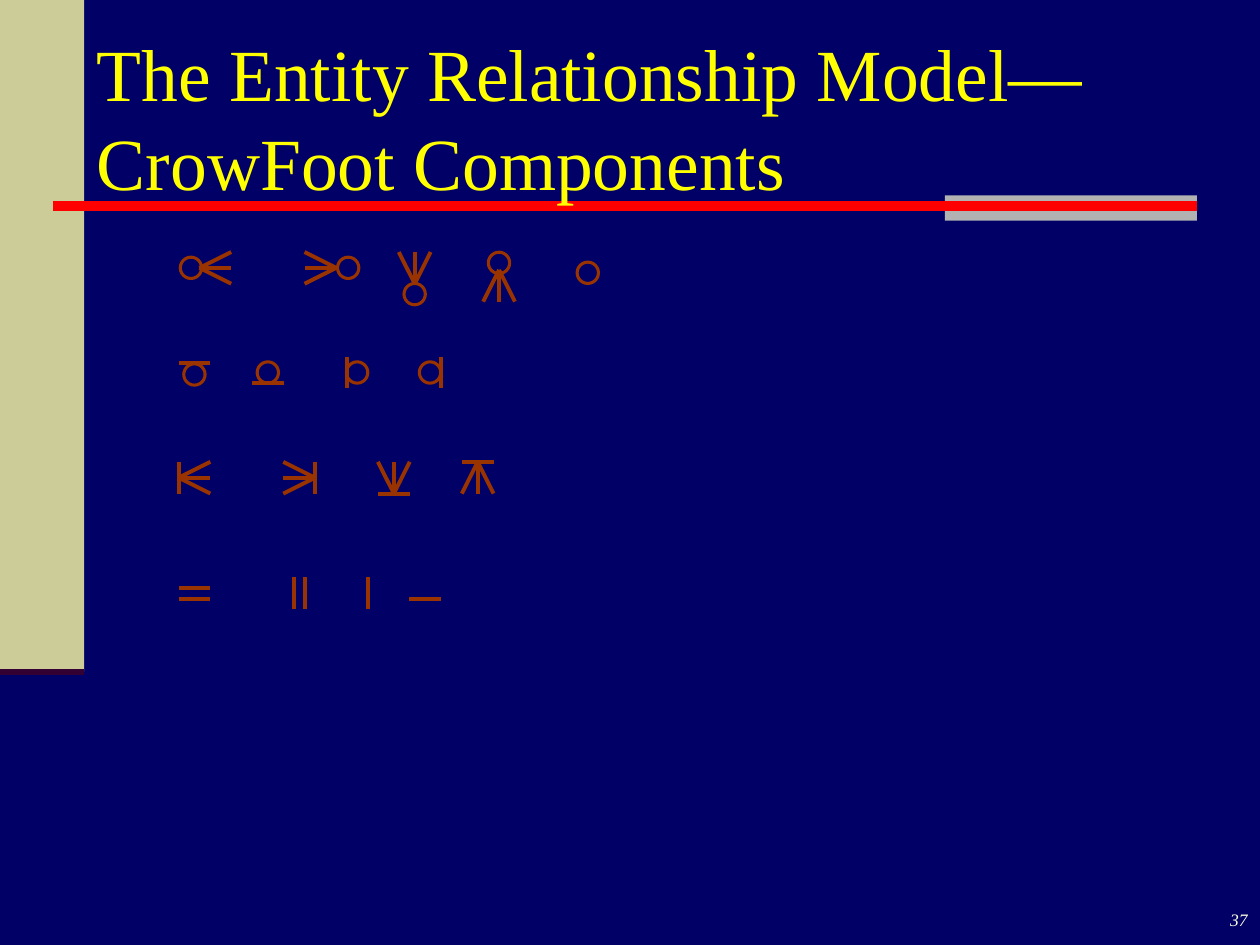
import pptx
import pptx.util
import pptx.dml.color
import pptx.enum.shapes
import pptx.enum.text
import pptx.oxml.ns
from lxml import etree

Cm = pptx.util.Cm
Pt = pptx.util.Pt
RGBColor = pptx.dml.color.RGBColor
SHAPE = pptx.enum.shapes.MSO_SHAPE
ALIGN = pptx.enum.text.PP_ALIGN
ANCHOR = pptx.enum.text.MSO_ANCHOR

NAVY = RGBColor(0x00, 0x00, 0x66)
KHAKI = RGBColor(0xCC, 0xCC, 0x99)
GRAY = RGBColor(0xB2, 0xB2, 0xB2)
RED = RGBColor(0xFF, 0x00, 0x00)
PLUM = RGBColor(0x33, 0x00, 0x33)
YELLOW = RGBColor(0xFF, 0xFF, 0x00)
RUST = RGBColor(0x99, 0x33, 0x00)
IVORY = RGBColor(0xFF, 0xFF, 0xE1)

FONT = "Times New Roman"
MARK = 0.64
RING = 0.43
RIGHT, LEFT, UP, DOWN = (1, 0), (-1, 0), (0, -1), (0, 1)

ROWS = [
    (3.6, 5.08, [
        [("ring", 0.25, 0.32), ("foot", 0.42, 0.32, RIGHT)],
        [("ring", 3.42, 0.32), ("foot", 3.18, 0.32, LEFT)],
        [("ring", 4.76, 0.85), ("foot", 4.76, 0.64, UP)],
        [("foot", 6.46, 0.36, DOWN), ("ring", 6.46, 0.22)],
        [("ring", 8.25, 0.42)],
    ]),
    (3.6, 7.19, [
        [("bar", 0.32, 0.13, RIGHT), ("ring", 0.32, 0.36)],
        [("bar", 1.8, 0.53, RIGHT), ("ring", 1.8, 0.32)],
        [("bar", 3.39, 0.32, DOWN), ("ring", 3.6, 0.32)],
        [("bar", 5.29, 0.32, DOWN), ("ring", 5.07, 0.32)],
    ]),
    (3.6, 9.31, [
        [("foot", 0, 0.32, RIGHT), ("bar", 0, 0.32, DOWN)],
        [("foot", 2.75, 0.32, LEFT), ("bar", 2.75, 0.32, DOWN)],
        [("foot", 4.34, 0.64, UP), ("bar", 4.34, 0.64, RIGHT)],
        [("foot", 6.03, 0, DOWN), ("bar", 6.03, 0, RIGHT)],
    ]),
    (3.6, 11.64, [
        [("bar", 0.32, 0.21, RIGHT), ("bar", 0.32, 0.43, RIGHT)],
        [("bar", 2.33, 0.32, DOWN), ("bar", 2.54, 0.32, DOWN)],
        [("bar", 3.81, 0.32, DOWN)],
        [("bar", 4.97, 0.43, RIGHT)],
    ]),
]


def add_line(shapes, start, end, color=RUST, width=2.25):
    connector = shapes.add_connector(
        pptx.enum.shapes.MSO_CONNECTOR.STRAIGHT,
        *(Cm(value) for value in (*start, *end)))
    connector.line.color.rgb = color
    connector.line.width = Pt(width)
    properties = connector.element.find(pptx.oxml.ns.qn("p:spPr"))
    etree.SubElement(properties, pptx.oxml.ns.qn("a:effectLst"))


def add_block(shapes, left, top, width, height, color):
    shape = shapes.add_shape(SHAPE.RECTANGLE, Cm(left), Cm(top), Cm(width), Cm(height))
    shape.shadow.inherit = False
    shape.fill.solid()
    shape.fill.fore_color.rgb = color
    shape.line.fill.background()


def add_ring(shapes, x, y):
    shape = shapes.add_shape(
        SHAPE.OVAL, Cm(x - RING / 2), Cm(y - RING / 2), Cm(RING), Cm(RING))
    shape.shadow.inherit = False
    shape.fill.background()
    shape.line.color.rgb = RUST
    shape.line.width = Pt(1.75)


def add_bar(shapes, x, y, direction):
    dx, dy = (MARK / 2 * part for part in direction)
    add_line(shapes, (x - dx, y - dy), (x + dx, y + dy))


def add_foot(shapes, x, y, direction):
    dx, dy = (MARK * part for part in direction)
    for spread in (0, -0.5, 0.5):
        add_line(shapes, (x, y), (x + dx - spread * dy, y + dy + spread * dx))


DRAWERS = {"ring": add_ring, "bar": add_bar, "foot": add_foot}


def add_symbol_row(slide, left, top, symbols):
    for parts in symbols:
        shapes = slide.shapes.add_group_shape().shapes if len(parts) > 1 else slide.shapes
        for kind, x, y, *direction in parts:
            DRAWERS[kind](shapes, left + x, top + y, *direction)


def add_decoration(slide, left, top):
    shapes = slide.shapes
    add_block(shapes, left, top, 1.7, 13.54, KHAKI)
    add_block(shapes, left + 19.05, top + 3.94, 5.08, 0.51, GRAY)
    add_line(shapes, (left + 1.06, top + 4.15), (left + 24.13, top + 4.15), RED, 6)
    add_line(shapes, (left, top + 13.54), (left + 1.7, top + 13.54), PLUM, 3.5)


def write_text(shape, text, size, color, align, anchor, italic=False):
    frame = shape.text_frame
    frame.word_wrap = True
    frame.auto_size = pptx.enum.text.MSO_AUTO_SIZE.NONE
    frame.vertical_anchor = anchor
    frame.text = text
    paragraph = frame.paragraphs[0]
    paragraph.alignment = align
    for run in paragraph.runs:
        run.font.name = FONT
        run.font.size = Pt(size)
        run.font.italic = italic
        run.font.color.rgb = color


def place_title(slide, left, top, width, height):
    title = slide.shapes.title
    title.left, title.top, title.width, title.height = (
        Cm(value) for value in (left, top, width, height))
    write_text(title, "The Entity Relationship Model—\vCrowFoot Components",
               size=42, color=YELLOW, align=ALIGN.LEFT, anchor=ANCHOR.MIDDLE)
    slide.shapes.element.append(title.element)


def add_page_number(slide, left, top, width, height):
    box = slide.shapes.add_textbox(Cm(left), Cm(top), Cm(width), Cm(height))
    write_text(box, "37", size=10, color=IVORY, align=ALIGN.RIGHT,
               anchor=ANCHOR.TOP, italic=True)


def main():
    presentation = pptx.Presentation()
    presentation.slide_width = Cm(25.4)
    presentation.slide_height = Cm(19.05)
    slide = presentation.slides.add_slide(presentation.slide_layouts[5])
    slide.background.fill.solid()
    slide.background.fill.fore_color.rgb = NAVY
    add_decoration(slide, 0, 0)
    place_title(slide, 1.7, 0.76, 23.7, 3.18)
    for left, top, symbols in ROWS:
        add_symbol_row(slide, left, top, symbols)
    add_page_number(slide, 20.11, 18.2, 5.29, 0.85)
    presentation.save("out.pptx")


if __name__ == "__main__":
    main()
